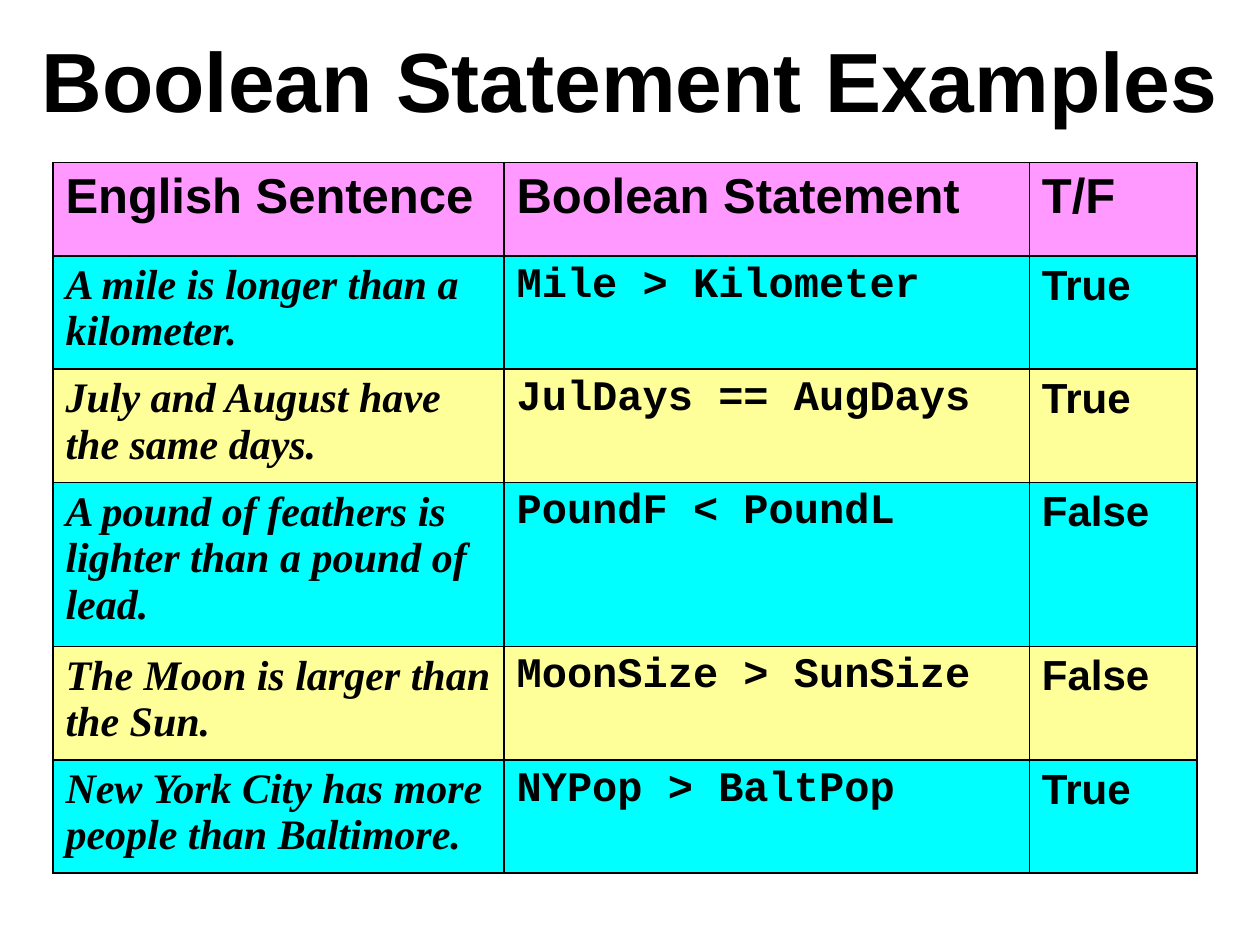
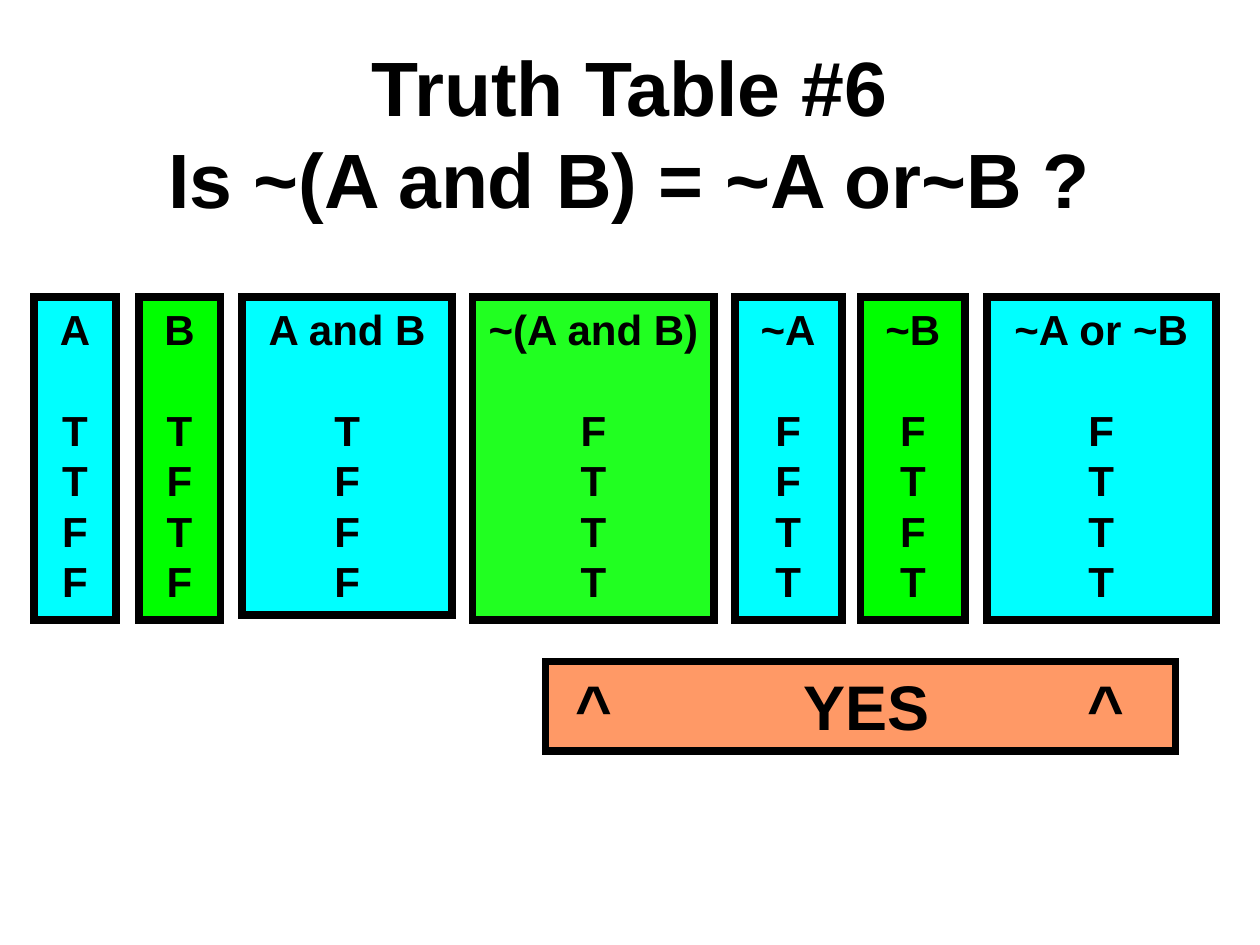
import pptx
import pptx.util
import pptx.dml.color
import pptx.enum.shapes
import pptx.enum.text
import pptx.oxml
import pptx.oxml.ns

Inches, Pt = pptx.util.Inches, pptx.util.Pt
ALIGN = pptx.enum.text.PP_ALIGN
ANCHOR = pptx.enum.text.MSO_ANCHOR

COLORS = {"ink": "000000", "header": "FF99FF", "cyan": "00FFFF", "yellow": "FFFF99",
          "green": "00FF00", "soft green": "21FF21", "orange": "FF9966"}
SANS, CODE, SERIF = "Arial", "Courier New", "Times New Roman"
TITLE_HEIGHT = 1.25

EXAMPLES_TITLE = "Boolean Statement Examples"
EXAMPLES = [
    ("English Sentence", "Boolean Statement", "T/F"),
    ("A mile is longer than a kilometer.", "Mile > Kilometer", "True"),
    ("July and August have the same days.", "JulDays == AugDays", "True"),
    ("A pound of feathers is lighter than a pound of lead.", "PoundF < PoundL", "False"),
    ("The Moon is larger than the Sun.", "MoonSize > SunSize", "False"),
    ("New York City has more people than Baltimore.", "NYPop > BaltPop", "True"),
]
EXAMPLE_WIDTHS = [3.58, 4.17, 1.33]
EXAMPLE_HEIGHTS = [0.74, 0.9, 0.9, 1.3, 0.9, 0.9]
EXAMPLE_FONTS = [SERIF, CODE, SANS]

TRUTH_TITLE = "Truth Table #6\vIs ~(A and B) = ~A or~B ?"
# heading, values, left, width, height, fill
TRUTH_COLUMNS = [
    ("A", "TTFF", 0.27, 0.65, 2.56, "cyan"),
    ("B", "TFTF", 1.1, 0.65, 2.56, "green"),
    ("A and B", "TFFF", 1.92, 1.67, 2.52, "cyan"),
    ("~(A and B)", "FTTT", 3.75, 1.92, 2.56, "soft green"),
    ("~A", "FFTT", 5.83, 0.85, 2.56, "cyan"),
    ("~B", "FTFT", 6.83, 0.83, 2.56, "green"),
    ("~A or ~B", "FTTT", 7.83, 1.82, 2.56, "cyan"),
]
TRUTH_TOP = 2.36
HEADING_GAP = 28.8
ANSWER = ["^", "YES", "^"]
ANSWER_STOPS = [0.14, 1.95, 4.2]


def rgb(name):
    return pptx.dml.color.RGBColor.from_string(COLORS[name])


def style(paragraph, size, face=SANS, italic=False):
    font = paragraph.font
    font.name, font.size = face, Pt(size)
    font.bold, font.italic = True, italic
    font.color.rgb = rgb("ink")


def add_titled_slide(deck, title, top, size):
    slide = deck.slides.add_slide(deck.slide_layouts[5])
    heading = slide.shapes.title
    heading.left, heading.top = 0, Inches(top)
    heading.width, heading.height = deck.slide_width, Inches(TITLE_HEIGHT)
    frame = heading.text_frame
    frame.text = title
    frame.auto_size = pptx.enum.text.MSO_AUTO_SIZE.NONE
    frame.vertical_anchor = ANCHOR.MIDDLE
    paragraph = frame.paragraphs[0]
    paragraph.alignment = ALIGN.CENTER
    style(paragraph, size)
    return slide


def add_borders(cell):
    """Draw all four sides; the lines must precede the fill in the cell's properties."""
    properties = cell._tc.get_or_add_tcPr()
    for index, side in enumerate(("lnL", "lnR", "lnT", "lnB")):
        properties.insert(index, pptx.oxml.parse_xml(
            f'<a:{side} {pptx.oxml.ns.nsdecls("a")} w="{Pt(1)}"><a:solidFill>'
            f'<a:srgbClr val="{COLORS["ink"]}"/></a:solidFill></a:{side}>'))


def add_examples(slide):
    table = slide.shapes.add_table(
        len(EXAMPLES), len(EXAMPLE_WIDTHS), Inches(0.42), Inches(1.29),
        Inches(sum(EXAMPLE_WIDTHS)), Inches(sum(EXAMPLE_HEIGHTS))).table
    for column, width in zip(table.columns, EXAMPLE_WIDTHS):
        column.width = Inches(width)
    for r, (texts, height) in enumerate(zip(EXAMPLES, EXAMPLE_HEIGHTS)):
        table.rows[r].height = Inches(height)
        fill = "header" if r == 0 else ("yellow", "cyan")[r % 2]
        for c, text in enumerate(texts):
            cell = table.cell(r, c)
            cell.text = text
            cell.fill.solid()
            cell.fill.fore_color.rgb = rgb(fill)
            add_borders(cell)
            paragraph = cell.text_frame.paragraphs[0]
            if r == 0:
                style(paragraph, 28)
            else:
                style(paragraph, 24, EXAMPLE_FONTS[c], italic=c == 0)


def add_box(slide, left, top, width, height, fill, lines, size, alignment):
    """Add a square-cornered box and return its paragraphs, one for each line."""
    box = slide.shapes.add_shape(pptx.enum.shapes.MSO_SHAPE.RECTANGLE,
                                 *map(Inches, (left, top, width, height)))
    box.shadow.inherit = False
    box.fill.solid()
    box.fill.fore_color.rgb = rgb(fill)
    box.line.color.rgb = rgb("ink")
    box.line.width = Pt(4.5)
    outline = box._element.spPr.find(pptx.oxml.ns.qn("a:ln"))
    outline.append(pptx.oxml.parse_xml(
        f'<a:miter {pptx.oxml.ns.nsdecls("a")} lim="800000"/>'))
    frame = box.text_frame
    frame.text = "\n".join(lines)
    frame.word_wrap = True
    frame.vertical_anchor = ANCHOR.TOP
    for paragraph in frame.paragraphs:
        paragraph.alignment = alignment
        style(paragraph, size)
    return frame.paragraphs


def add_truth_columns(slide):
    for heading, values, left, width, height, fill in TRUTH_COLUMNS:
        paragraphs = add_box(slide, left, TRUTH_TOP, width, height, fill,
                             [heading, *values], 24, ALIGN.CENTER)
        paragraphs[1].space_before = Pt(HEADING_GAP)


def add_answer(slide):
    text = "".join("\t" + part for part in ANSWER)
    paragraph = add_box(slide, 4.33, 5.25, 5, 0.71, "orange", [text], 36, ALIGN.LEFT)[0]
    stops = "".join(f'<a:tab pos="{Inches(stop)}" algn="l"/>' for stop in ANSWER_STOPS)
    tabs = pptx.oxml.parse_xml(f'<a:tabLst {pptx.oxml.ns.nsdecls("a")}>{stops}</a:tabLst>')
    properties = paragraph._p.get_or_add_pPr()
    properties.find(pptx.oxml.ns.qn("a:defRPr")).addprevious(tabs)


def main():
    deck = pptx.Presentation()
    deck.slide_width, deck.slide_height = Inches(10), Inches(7.5)
    add_examples(add_titled_slide(deck, EXAMPLES_TITLE, 0, 48))
    truth = add_titled_slide(deck, TRUTH_TITLE, 0.42, 44)
    add_truth_columns(truth)
    add_answer(truth)
    deck.save("out.pptx")


if __name__ == "__main__":
    main()
